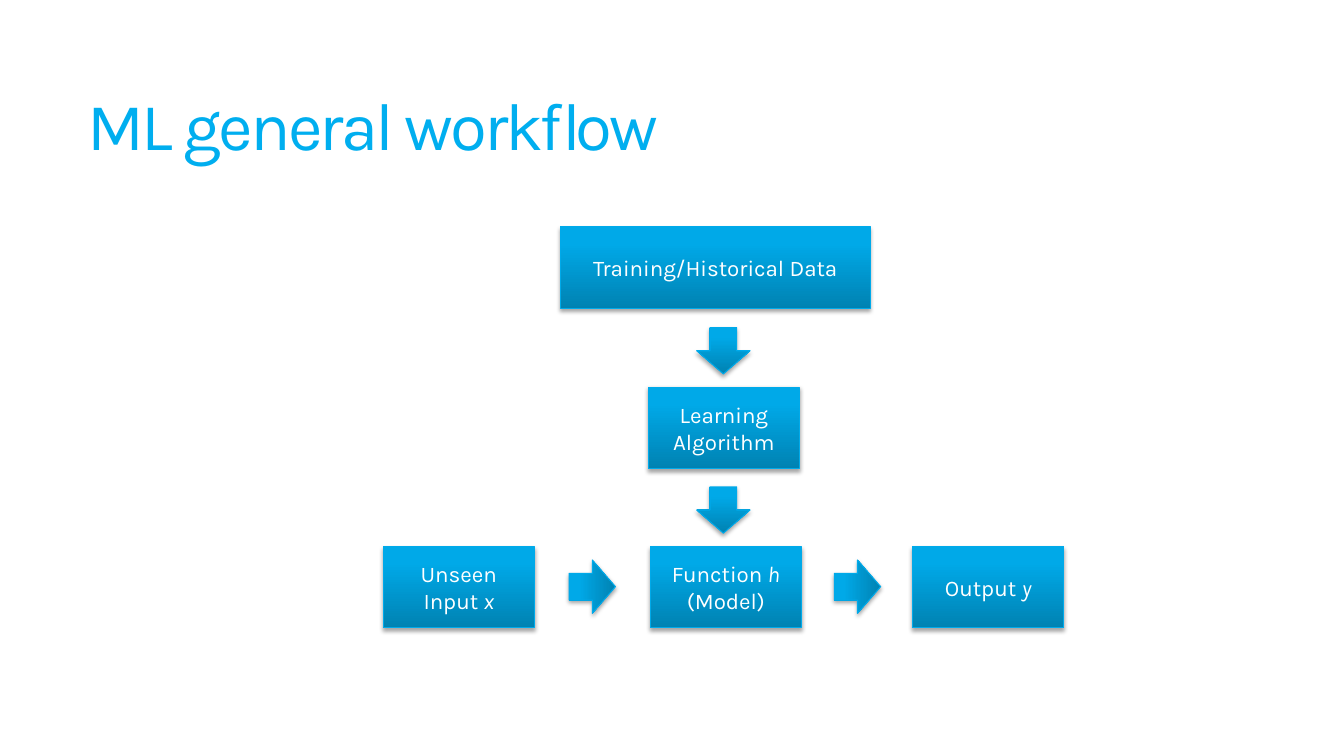
"""Build the ML general workflow slide."""
from dataclasses import dataclass

import pptx
import pptx.dml.color
import pptx.enum.shapes
import pptx.enum.text
import pptx.oxml
import pptx.oxml.ns
import pptx.util

Inches = pptx.util.Inches
Pt = pptx.util.Pt
SHAPE = pptx.enum.shapes.MSO_SHAPE
ALIGN = pptx.enum.text.PP_ALIGN
ANCHOR = pptx.enum.text.MSO_ANCHOR

COLORS = {
    "title": "00AEEF",
    "text": "FFFFFF",
    "line": "00AAEA",
    "dark": "0082B2",
    "mid": "00A9E8",
    "light": "00A9E9",
    "shadow": "000000",
}
FONT = "Karla"
BOX_H = 0.81
ARROW_W, ARROW_H = 0.53, 0.46
NS = pptx.oxml.ns.nsdecls("a")


@dataclass
class Box:
    left: float
    top: float
    text: str
    symbol: str = ""
    tail: str = ""
    width: float = 1.5


@dataclass
class Arrow:
    left: float
    top: float
    rotation: int = 0


BOXES = [
    Box(5.56, 2.25, "Training/Historical Data", width=3.07),
    Box(6.43, 3.84, "Learning Algorithm"),
    Box(6.45, 5.42, "Function ", "h", " (Model)"),
    Box(3.8, 5.42, "Unseen Input ", "x"),
    Box(9.05, 5.42, "Output ", "y"),
]
ARROWS = [
    Arrow(6.91, 3.25),
    Arrow(6.91, 4.83),
    Arrow(5.61, 5.59, 270),
    Arrow(8.24, 5.59, 270),
]


def rgb(name: str) -> pptx.dml.color.RGBColor:
    """Return the named colour."""
    return pptx.dml.color.RGBColor.from_string(COLORS[name])


def set_font(p, size: int, color: str) -> None:
    """Format a whole paragraph."""
    p.font.name = FONT
    p.font.size = Pt(size)
    p.font.color.rgb = rgb(color)


def style(s) -> None:
    """Give a shape the gradient, thin line and soft shadow."""
    stops = "".join(
        f'<a:gs pos="{pos * 1000}"><a:srgbClr val="{COLORS[name]}"/></a:gs>'
        for pos, name in ((0, "dark"), (80, "mid"), (100, "light"))
    )
    s.line.color.rgb = rgb("line")
    s.line.width = Pt(0.75)
    s.shadow.inherit = False
    spPr = s.element.spPr
    spPr.find(pptx.oxml.ns.qn("a:prstGeom")).addnext(pptx.oxml.parse_xml(
        f'<a:gradFill {NS} rotWithShape="1"><a:gsLst>{stops}</a:gsLst>'
        '<a:lin ang="16200000" scaled="0"/></a:gradFill>'
    ))
    spPr.find(pptx.oxml.ns.qn("a:effectLst")).append(pptx.oxml.parse_xml(
        f'<a:outerShdw {NS} blurRad="{Pt(3.1)}" dist="{Pt(1.8)}" dir="5400000" '
        f'rotWithShape="0"><a:srgbClr val="{COLORS["shadow"]}">'
        '<a:alpha val="35000"/></a:srgbClr></a:outerShdw>'
    ))


def add_title(slide, text: str) -> None:
    """Place and format the slide title."""
    s = slide.shapes.title
    s.left, s.top = Inches(0.87), Inches(0.27)
    s.width, s.height = Inches(10.99), Inches(1.36)
    tf = s.text_frame
    tf.auto_size = pptx.enum.text.MSO_AUTO_SIZE.NONE
    tf.vertical_anchor = ANCHOR.BOTTOM
    tf.margin_left = tf.margin_right = tf.margin_top = tf.margin_bottom = 0
    p = tf.paragraphs[0]
    p.alignment = ALIGN.LEFT
    r = p.add_run()
    r.text = text
    r.font._element.set("spc", "-200")
    set_font(p, 48, "title")


def add_box(slide, box: Box) -> None:
    """Draw a labelled step."""
    s = slide.shapes.add_shape(SHAPE.RECTANGLE, Inches(box.left), Inches(box.top),
                               Inches(box.width), Inches(BOX_H))
    style(s)
    tf = s.text_frame
    tf.word_wrap = True
    tf.vertical_anchor = ANCHOR.MIDDLE
    p = tf.paragraphs[0]
    p.alignment = ALIGN.CENTER
    for text, italic in ((box.text, False), (box.symbol, True), (box.tail, False)):
        if text:
            r = p.add_run()
            r.text = text
            r.font.italic = italic
    set_font(p, 16, "text")


def add_arrow(slide, arrow: Arrow) -> None:
    """Draw a block arrow between steps."""
    s = slide.shapes.add_shape(SHAPE.DOWN_ARROW, Inches(arrow.left), Inches(arrow.top),
                               Inches(ARROW_W), Inches(ARROW_H))
    s.rotation = arrow.rotation
    style(s)


def main() -> None:
    """Build and save the presentation."""
    prs = pptx.Presentation()
    prs.slide_width, prs.slide_height = Inches(13.33), Inches(7.5)
    slide = prs.slides.add_slide(prs.slide_layouts.get_by_name("Title Only"))
    add_title(slide, "ML general workflow")
    for box in BOXES:
        add_box(slide, box)
    for arrow in ARROWS:
        add_arrow(slide, arrow)
    prs.save("out.pptx")


if __name__ == "__main__":
    main()
